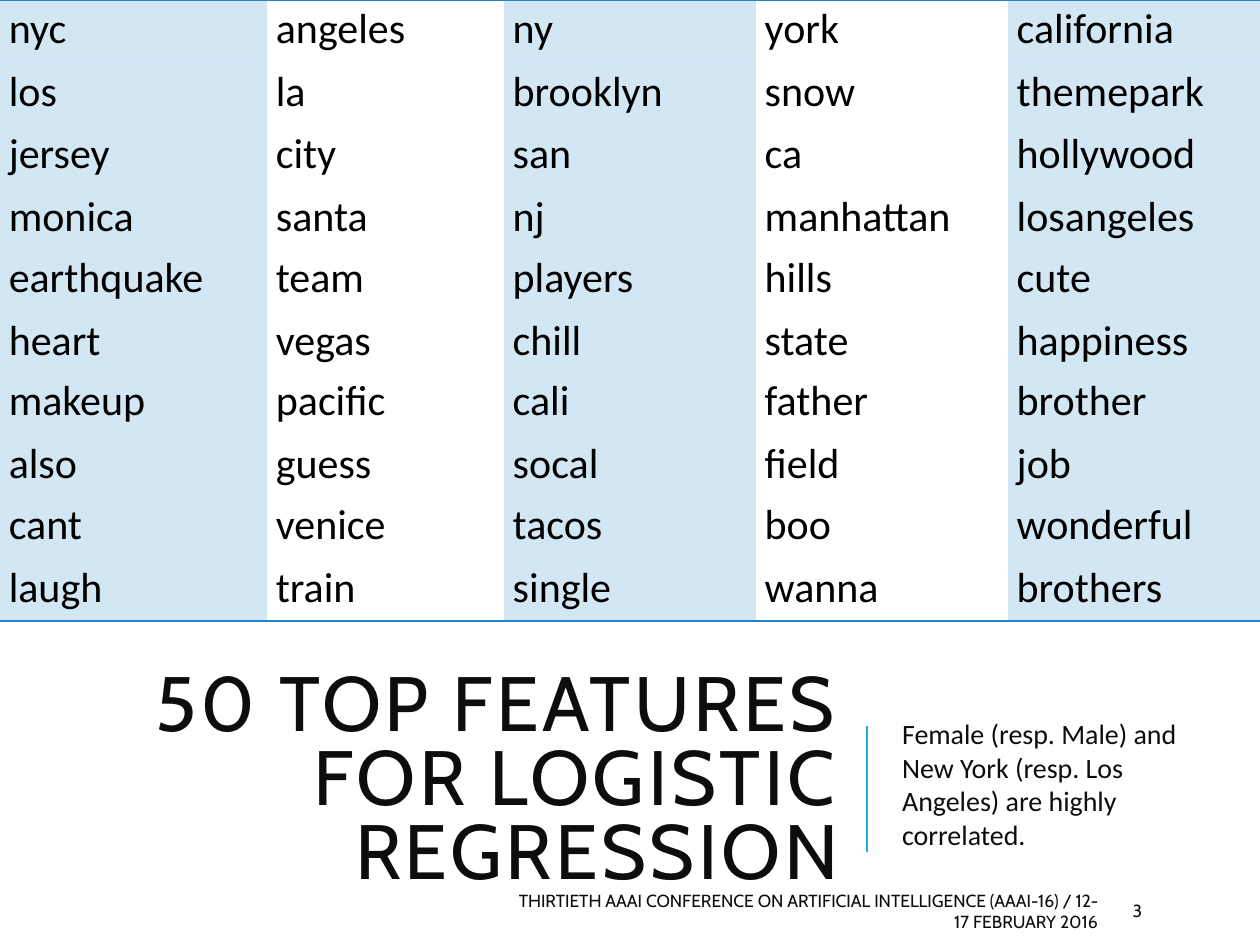
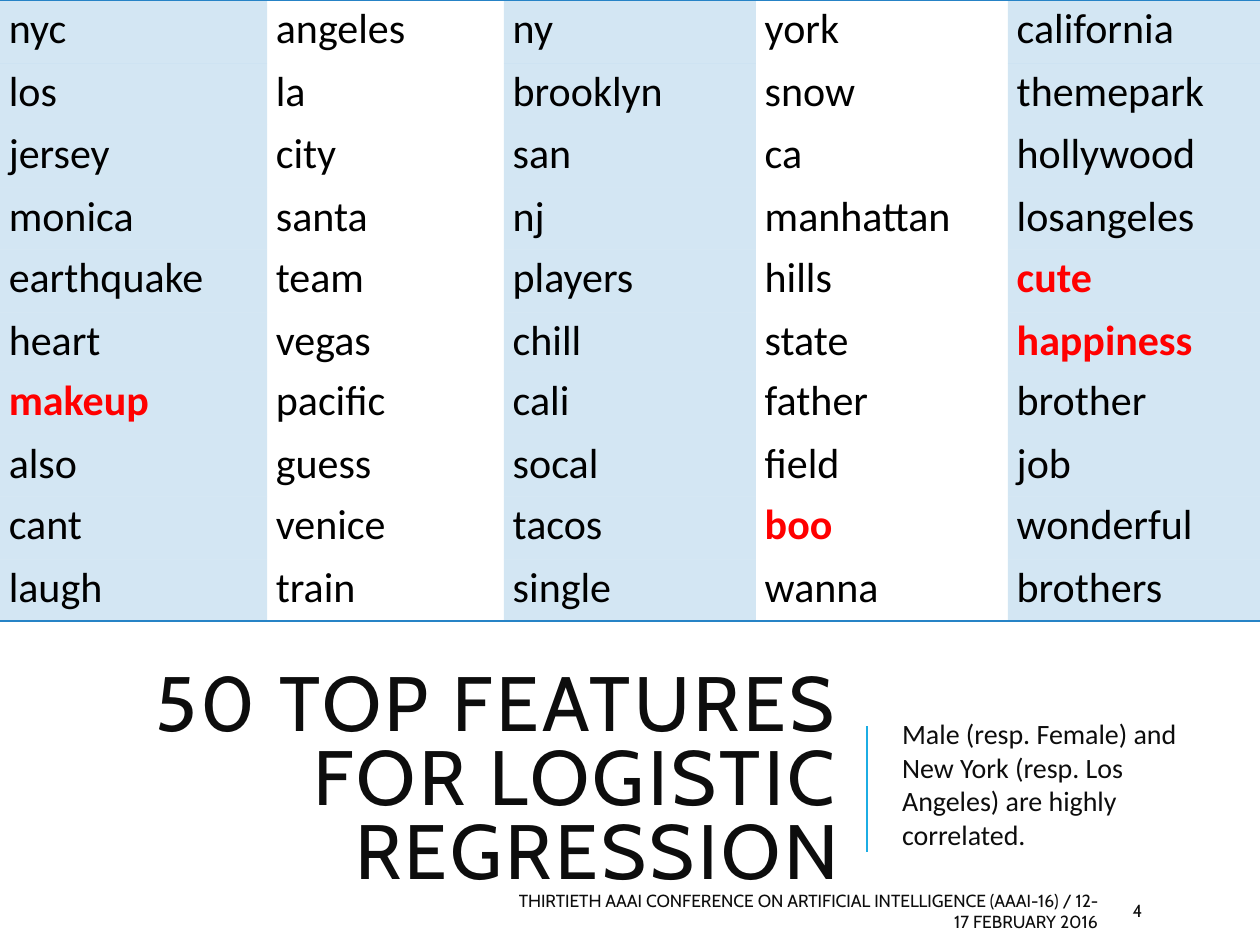
from lxml.etree import SubElement
from pptx import Presentation
from pptx.dml.color import RGBColor
from pptx.enum.text import MSO_ANCHOR, MSO_AUTO_SIZE, PP_ALIGN
from pptx.oxml import parse_xml
from pptx.oxml.ns import nsdecls, qn
from pptx.util import Inches, Pt

BLUE, CYAN, INK, BLACK, RED = "2683C6", "1CADE4", "0D0D0D", "000000", "FF0000"
HEAD, BODY = "Cabin", "Calibri"
NO_GRID = "{2D5ABB26-0587-4C30-8999-92F81FD0307C}"
TITLE = "50 TOP FEATURES FOR LOGISTIC REGRESSION"
FOOTER = ("THIRTIETH AAAI CONFERENCE ON ARTIFICIAL INTELLIGENCE (AAAI-16) / "
          "12-17 FEBRUARY 2016")
WORDS = [row.split() for row in (
    "nyc angeles ny york california",
    "los la brooklyn snow themepark",
    "jersey city san ca hollywood",
    "monica santa nj manhattan losangeles",
    "earthquake team players hills cute",
    "heart vegas chill state happiness",
    "makeup pacific cali father brother",
    "also guess socal field job",
    "cant venice tacos boo wonderful",
    "laugh train single wanna brothers",
)]
COLS = [2.12, 1.88, 2, 2, 2]
ROWS = [0.5, 0.49] * 2 + [0.5, 0.47] + [0.5, 0.49] * 2
SLIDES = [
    (3, "Female (resp. Male) and New York (resp. Los Angeles) are highly correlated.",
     set()),
    (4, "Male (resp. Female) and New York (resp. Los Angeles) are highly correlated.",
     {"cute", "happiness", "makeup", "boo"}),
]


def color(code):
    """Turn a hex string into a colour."""
    return RGBColor.from_string(code)


def style(para, face, size, ink=INK, bold=False):
    """Set the font of a paragraph."""
    font = para.font
    font.name, font.size, font.bold = face, Pt(size), bold
    font.color.rgb = color(ink)


def write(shape, box, text, face, size, align=PP_ALIGN.LEFT):
    """Place a text shape in its box and return its only paragraph."""
    shape.left, shape.top, shape.width, shape.height = map(Inches, box)
    frame = shape.text_frame
    frame.text = text
    frame.word_wrap = True
    frame.auto_size = MSO_AUTO_SIZE.NONE
    frame.vertical_anchor = MSO_ANCHOR.MIDDLE
    para = frame.paragraphs[0]
    para.alignment = align
    para.space_before = Pt(0)
    style(para, face, size)
    return para


def add_rule(slide, x, y, height):
    """Draw the upright line between title and note."""
    line = slide.shapes.add_connector(
        1, Inches(x), Inches(y + height), Inches(x), Inches(y))
    line.line.color.rgb = color(CYAN)
    line.line.width = Pt(1.5)
    SubElement(line._element.spPr, qn("a:effectLst"))


def add_edge(cell, side):
    """Draw a blue border on one side of a cell."""
    cell._tc.get_or_add_tcPr().insert(0, parse_xml(
        f'<a:{side} {nsdecls("a")} w="12700"><a:solidFill>'
        f'<a:srgbClr val="{BLUE}"/></a:solidFill></a:{side}>'))


def tint(cell):
    """Fill a cell with blue at one fifth strength."""
    cell.fill.solid()
    cell.fill.fore_color.rgb = color(BLUE)
    shade = cell._tc.tcPr.find(".//" + qn("a:srgbClr"))
    SubElement(shade, qn("a:alpha"), val="20000")


def fill_cell(cell, word, tinted, marked):
    """Write a word in a cell, red and bold if marked."""
    cell.margin_left = cell.margin_right = Inches(0.07)
    cell.margin_top = cell.margin_bottom = 0
    cell.text = word
    para = cell.text_frame.paragraphs[0]
    para.line_spacing = 1.07
    style(para, BODY, 24, RED if marked else BLACK, marked)
    if tinted:
        tint(cell)
    else:
        cell.fill.background()


def add_words(slide, x, y, marks):
    """Add the table of words with its corner at x, y."""
    table = slide.shapes.add_table(
        len(ROWS), len(COLS), Inches(x), Inches(y),
        Inches(sum(COLS)), Inches(sum(ROWS))).table
    table.first_row = table.horz_banding = False
    table._tbl.tblPr.find(qn("a:tableStyleId")).text = NO_GRID
    for col, width in zip(table.columns, COLS):
        col.width = Inches(width)
    for row, height in zip(table.rows, ROWS):
        row.height = Inches(height)
    for r, words in enumerate(WORDS):
        for c, word in enumerate(words):
            fill_cell(table.cell(r, c), word, c % 2 == 0, word in marks)
    for c in range(len(COLS)):
        add_edge(table.cell(0, c), "lnT")
        add_edge(table.cell(len(ROWS) - 1, c), "lnB")


def add_band(slide, x, y, height, note):
    """Set title, line and note side by side in a band."""
    title = write(slide.shapes.title, (x, y, 6.38, height), TITLE, HEAD, 44,
                  PP_ALIGN.RIGHT)
    title.line_spacing = 0.8
    title.runs[0].font._element.set("spc", "200")
    add_rule(slide, x + 6.5, y + 0.34, 1)
    body = write(slide.placeholders[1], (x + 6.68, y, 2.62, height), note, BODY, 16)
    body.space_after = Pt(2)


def add_footer(slide, x, y, number):
    """Add the conference line and the slide number."""
    for left, width, text, align in (
            (x, 4.84, FOOTER, PP_ALIGN.RIGHT),
            (x + 4.92, 0.8, str(number), PP_ALIGN.LEFT)):
        shape = slide.shapes.add_textbox(0, 0, 0, 0)
        write(shape, (left, y, width, 0.3), text, HEAD, 10, align)


def main():
    """Build both slides and save them."""
    deck = Presentation()
    deck.slide_width, deck.slide_height = Inches(10), Inches(7.5)
    for number, note, marks in SLIDES:
        slide = deck.slides.add_slide(deck.slide_layouts[2])
        add_band(slide, 0.38, 5.42, 1.6, note)
        add_footer(slide, 3.97, 7.08, number)
        add_words(slide, 0, 0, marks)
    deck.save("out.pptx")


if __name__ == "__main__":
    main()
